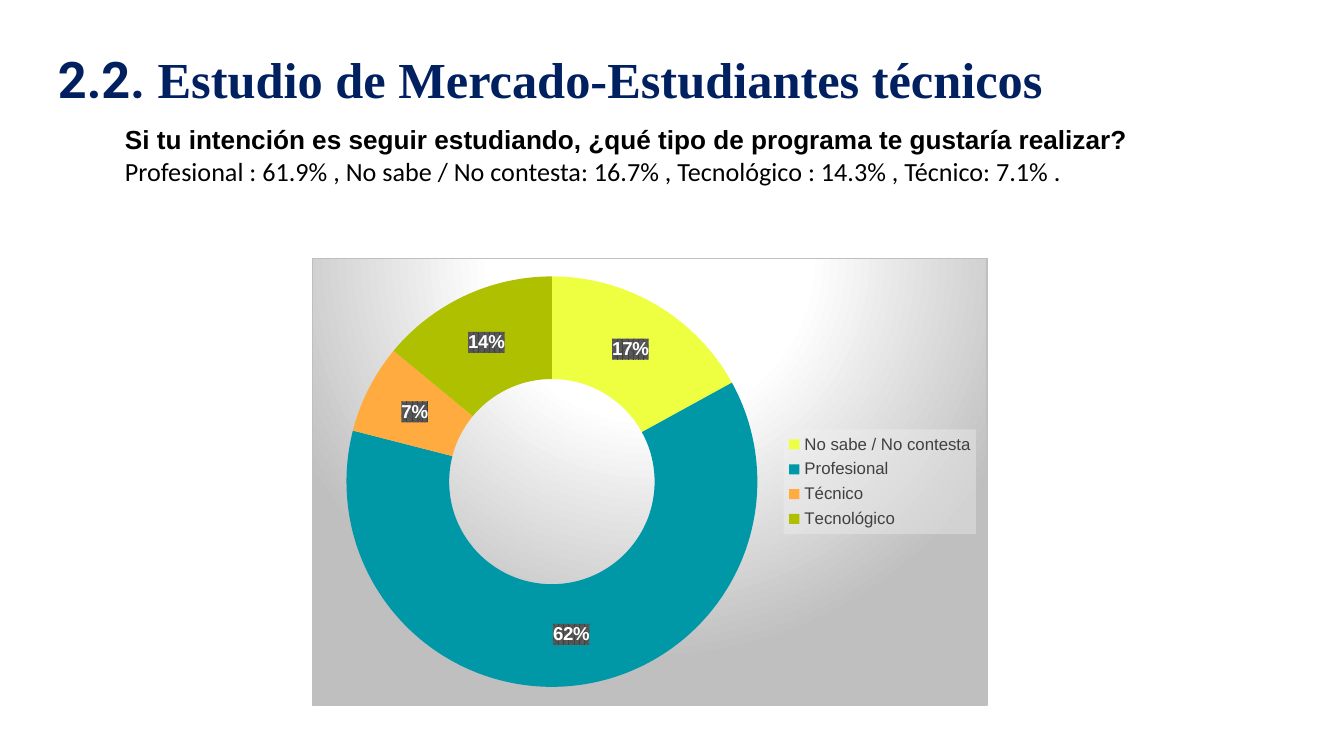
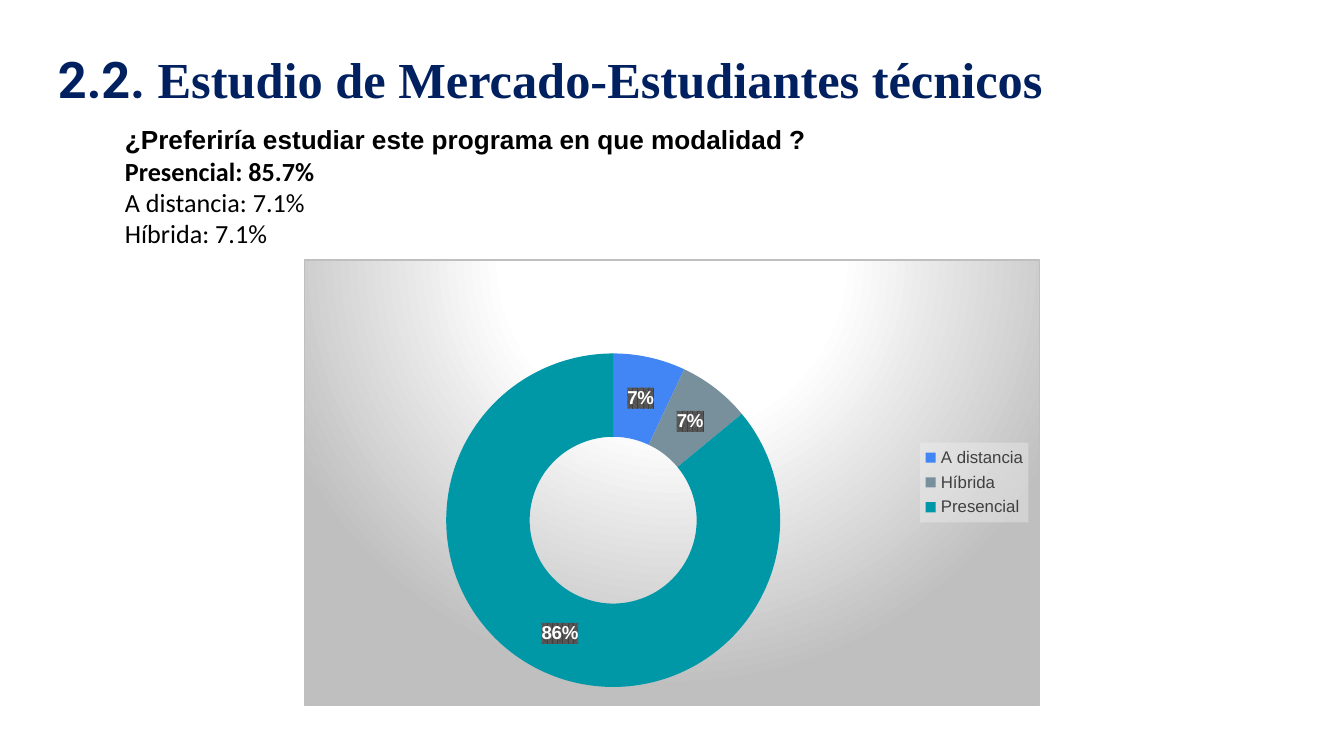
from dataclasses import dataclass

from lxml import etree
from pptx import Presentation
from pptx.chart.data import CategoryChartData
from pptx.dml.color import RGBColor
from pptx.enum.chart import XL_CHART_TYPE as ChartType, XL_LEGEND_POSITION as LegendPos
from pptx.enum.text import MSO_ANCHOR as Anchor, MSO_AUTO_SIZE as AutoSize, PP_ALIGN as Align
from pptx.oxml import parse_xml
from pptx.util import Pt

COLORS = {
    "title": "002060", "text": "000000", "white": "FFFFFF", "gray": "BFBFBF",
    "legend": "404040", "legend_fill": "F2F2F2", "label": "404040", "label_bg": "595959",
    "yellow": "EEFF41", "teal": "0097A7", "orange": "FFAB40", "olive": "AFC000",
    "blue": "4285F4", "slate": "78909C",
}
NS = ('xmlns:c="http://schemas.openxmlformats.org/drawingml/2006/chart" '
      'xmlns:a="http://schemas.openxmlformats.org/drawingml/2006/main"')
C = "{http://schemas.openxmlformats.org/drawingml/2006/chart}"


@dataclass(frozen=True)
class Line:
    text: str
    font: str = "Calibri"
    bold: bool = False


@dataclass(frozen=True)
class Slice:
    name: str
    value: int
    color: str


@dataclass(frozen=True)
class Survey:
    lines: tuple[Line, ...]
    text_height: float
    chart_box: tuple[float, float, float, float]
    ring: tuple[float, float, float, float]
    slices: tuple[Slice, ...]


SURVEYS = (
    Survey(
        (Line("Si tu intención es seguir estudiando, ¿qué tipo de programa te gustaría realizar?",
              "Arial", True),
         Line("Profesional : 61.9% , No sabe / No contesta: 16.7% , "
              "Tecnológico : 14.3% , Técnico: 7.1% .")),
        65.5, (167, 138.2, 362.2, 239.8), (0.05, 0.04, 0.61, 0.92),
        (Slice("No sabe / No contesta", 17, "yellow"), Slice("Profesional", 62, "teal"),
         Slice("Técnico", 7, "orange"), Slice("Tecnológico", 14, "olive")),
    ),
    Survey(
        (Line("¿Preferiría estudiar este programa en que modalidad ?", "Arial", True),
         Line("Presencial: 85.7%", bold=True),
         Line("A distancia: 7.1%"),
         Line("Híbrida: 7.1%")),
        99.4, (162.7, 139, 394.6, 239), (0.19, 0.21, 0.46, 0.75),
        (Slice("A distancia", 7, "blue"), Slice("Híbrida", 7, "slate"),
         Slice("Presencial", 86, "teal")),
    ),
)


def rgb(name: str) -> RGBColor:
    return RGBColor.from_string(COLORS[name])


def style(font, *, size: float, color: str, name: str = "Arial", bold: bool = False) -> None:
    font.name, font.size, font.bold = name, Pt(size), bold
    font.color.rgb = rgb(color)


def add_run(p, text: str, **fmt) -> None:
    r = p.add_run()
    r.text = text
    style(r.font, **fmt)


def set_frame(tf, pad: float) -> None:
    tf.word_wrap = True
    tf.auto_size = AutoSize.NONE
    tf.vertical_anchor = Anchor.TOP
    tf.margin_left = tf.margin_right = Pt(7.2)
    tf.margin_top = tf.margin_bottom = Pt(pad)


def add_title(slide) -> None:
    sp = slide.shapes.title
    sp.left, sp.top, sp.width, sp.height = Pt(23.8), Pt(22.3), Pt(630.7), Pt(40.3)
    set_frame(sp.text_frame, 3.6)
    p = sp.text_frame.paragraphs[0]
    p.alignment = Align.LEFT
    for text, font in (("2.2. ", "Roboto"),
                       ("Estudio de Mercado-Estudiantes técnicos", "Times New Roman")):
        add_run(p, text, size=27, color="title", name=font, bold=True)


def add_lines(slide, survey: Survey) -> None:
    sp = slide.shapes.add_textbox(Pt(59.8), Pt(59), Pt(576.7), Pt(survey.text_height))
    tf = sp.text_frame
    set_frame(tf, 7.2)
    for i, line in enumerate(survey.lines):
        p = tf.add_paragraph() if i else tf.paragraphs[0]
        add_run(p, line.text, size=14, color="text", name=line.font, bold=line.bold)


def solid(name: str, extra: str = "") -> str:
    return f'<a:solidFill>{clr(name, extra)}</a:solidFill>'


def clr(name: str, extra: str = "") -> str:
    return f'<a:srgbClr val="{COLORS[name]}">{extra}</a:srgbClr>'


def sp_pr(content: str) -> etree.ElementBase:
    return parse_xml(f"<c:spPr {NS}>{content}</c:spPr>")


def background() -> etree.ElementBase:
    stops = "".join(f'<a:gs pos="{pos * 1000}">{clr(name)}</a:gs>'
                    for pos, name in ((0, "white"), (39, "white"), (100, "gray")))
    return sp_pr(
        f'<a:gradFill flip="none" rotWithShape="1"><a:gsLst>{stops}</a:gsLst>'
        '<a:path path="circle"><a:fillToRect l="50000" t="-80000" r="50000" b="180000"/></a:path>'
        f'<a:tileRect/></a:gradFill><a:ln w="{Pt(0.75)}">{solid("gray")}</a:ln>')


def set_ring(chart_space, ring: tuple[float, float, float, float]) -> None:
    area = chart_space.find(f".//{C}plotArea")
    for old in area.findall(f"{C}layout"):
        area.remove(old)
    sizes = "".join(f'<c:{tag} val="{v}"/>' for tag, v in zip("xywh", ring))
    area.insert(0, parse_xml(
        f'<c:layout {NS}><c:manualLayout><c:layoutTarget val="inner"/>'
        f'<c:xMode val="edge"/><c:yMode val="edge"/>{sizes}</c:manualLayout></c:layout>'))


def add_doughnut(slide, survey: Survey) -> None:
    data = CategoryChartData()
    data.categories = [s.name for s in survey.slices]
    data.add_series("Series 1", [s.value for s in survey.slices])
    box = [Pt(v) for v in survey.chart_box]
    chart = slide.shapes.add_chart(ChartType.DOUGHNUT, *box, data).chart
    chart.has_title = False
    style(chart.font, size=10, color="text")
    space = chart._chartSpace
    space.find(f"{C}chart").addnext(background())
    set_ring(space, survey.ring)

    chart.has_legend = True
    legend = chart.legend
    legend.position = LegendPos.RIGHT
    legend.include_in_layout = False
    style(legend.font, size=9, color="legend")
    space.find(f".//{C}legend/{C}overlay").addnext(
        sp_pr(solid("legend_fill", '<a:alpha val="39000"/>')))

    chart.plots[0].vary_by_categories = True
    series = chart.plots[0].series[0]
    for i, s in enumerate(survey.slices):
        fmt = series.points[i].format
        fmt.fill.solid()
        fmt.fill.fore_color.rgb = rgb(s.color)
        fmt.line.fill.background()

    labels = series.data_labels
    labels.show_value = False
    labels.show_percentage = True
    labels.number_format = "0%"
    labels.number_format_is_linked = False
    style(labels.font, size=10, color="white", bold=True)
    space.find(f".//{C}ser/{C}dLbls/{C}txPr").addprevious(sp_pr(
        f'<a:pattFill prst="pct75"><a:fgClr>{clr("label")}</a:fgClr>'
        f'<a:bgClr>{clr("label_bg")}</a:bgClr></a:pattFill>'))


def main() -> None:
    prs = Presentation()
    prs.slide_width, prs.slide_height = Pt(720), Pt(405)
    for survey in SURVEYS:
        slide = prs.slides.add_slide(prs.slide_layouts[5])
        add_lines(slide, survey)
        add_title(slide)
        add_doughnut(slide, survey)
    prs.save("out.pptx")


if __name__ == "__main__":
    main()
